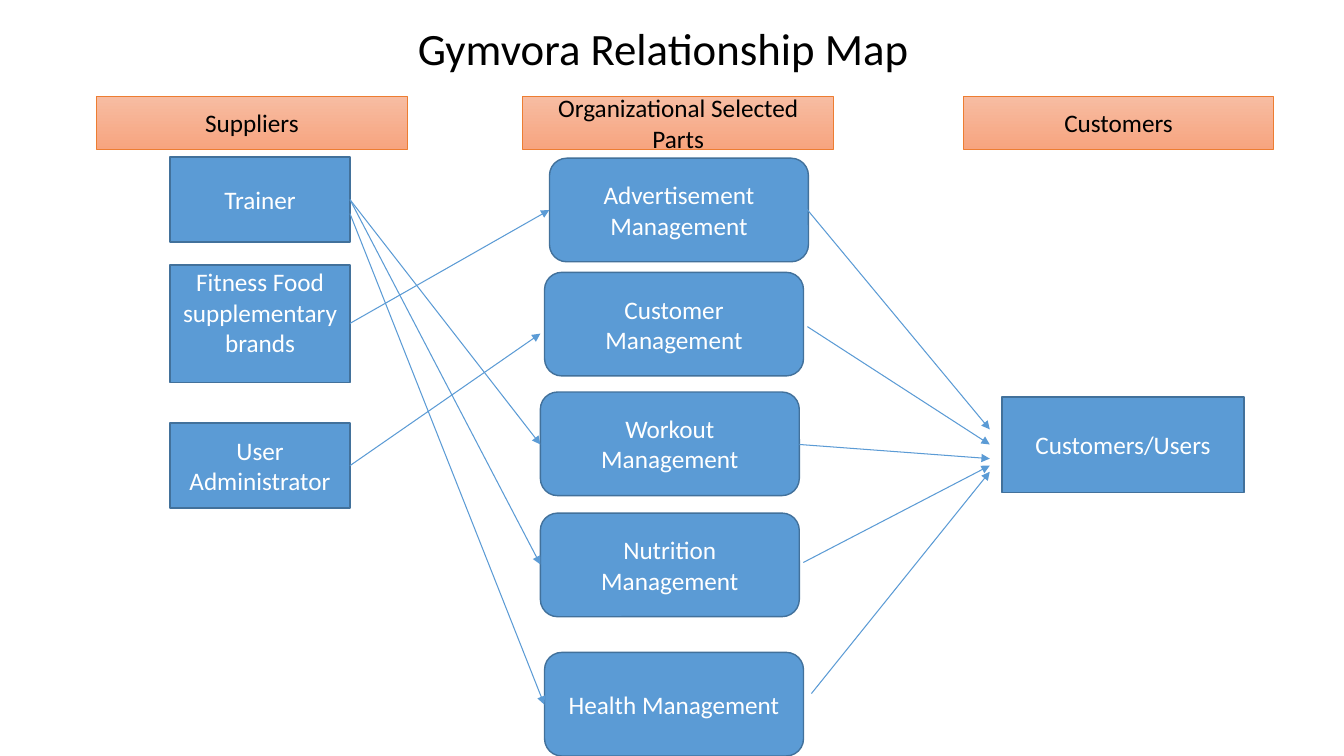
import pptx
import pptx.util
import pptx.dml.color
import pptx.enum.shapes
import pptx.enum.text
import pptx.oxml
import pptx.oxml.ns

Pt = pptx.util.Pt
SHAPE = pptx.enum.shapes.MSO_SHAPE
ANCHOR = pptx.enum.text.MSO_ANCHOR
CENTER = pptx.enum.text.PP_ALIGN.CENTER

COLORS = {
    "black": "000000",
    "white": "FFFFFF",
    "blue": "5B9BD5",
    "blue_edge": "42719B",
    "orange_edge": "ED7D31",
    "orange_top": "F7BCA2",
    "orange_bottom": "F7A47F",
}


def rgb(name):
    return pptx.dml.color.RGBColor.from_string(COLORS[name])


def set_text(sp, text, size, color, anchor):
    tf = sp.text_frame
    tf.word_wrap = True
    tf.vertical_anchor = anchor
    p = tf.paragraphs[0]
    p.text = text
    p.alignment = CENTER
    p.font.name = "Calibri"
    p.font.size = Pt(size)
    p.font.color.rgb = rgb(color)
    return p


def add_box(s, kind, box, text, color, edge, edge_width):
    """Add an outlined shape with centred text; its fill is left to the caller."""
    sp = s.shapes.add_shape(kind, *map(Pt, box))
    sp.shadow.inherit = False
    sp.line.color.rgb = rgb(edge)
    sp.line.width = Pt(edge_width)
    set_text(sp, text, 18, color, ANCHOR.MIDDLE)
    return sp


def add_blue_box(s, kind, box, text):
    sp = add_box(s, kind, box, text, "white", "blue_edge", 1)
    sp.fill.solid()
    sp.fill.fore_color.rgb = rgb("blue")
    return sp


def add_title(s, box, text):
    sp = s.shapes.add_textbox(*map(Pt, box))
    p = set_text(sp, text, 32, "black", ANCHOR.BOTTOM)
    p.line_spacing = 0.9


def add_header(s, box, text):
    sp = add_box(s, SHAPE.RECTANGLE, box, text, "black", "orange_edge", 0.75)
    sp.fill.gradient()
    sp.fill.gradient_angle = 270
    for stop, name in zip(sp.fill.gradient_stops, ("orange_top", "orange_bottom")):
        stop.color.rgb = rgb(name)


def add_suppliers(s, left, top, width):
    rows = [
        ("Trainer", 0, 60.5, 3.6),
        ("Fitness Food supplementary brands", 77, 84.2, 20.6),
        ("User Administrator", 190, 60.5, 3.6),
    ]
    for text, dy, height, bottom_inset in rows:
        sp = add_blue_box(s, SHAPE.RECTANGLE, (left, top + dy, width, height), text)
        sp.text_frame.margin_bottom = Pt(bottom_inset)


def add_parts(s, left, top, width, height):
    rows = [
        ("Advertisement Management", 6.5, 0),
        ("Customer Management", 3, 81.5),
        ("Workout Management", 0, 167),
        ("Nutrition Management", 0, 253.5),
        ("Health Management", 3, 353),
    ]
    for text, dx, dy in rows:
        box = (left + dx, top + dy, width, height)
        add_blue_box(s, SHAPE.ROUNDED_RECTANGLE, box, text)


def add_arrow(s, x1, y1, x2, y2):
    cn = s.shapes.add_connector(
        pptx.enum.shapes.MSO_CONNECTOR.STRAIGHT, *map(Pt, (x1, y1, x2, y2)))
    cn.line.color.rgb = rgb("blue")
    cn.line.width = Pt(0.75)
    ln = cn.line._get_or_add_ln()
    ln.append(pptx.oxml.parse_xml(
        '<a:tailEnd %s type="triangle"/>' % pptx.oxml.ns.nsdecls("a")))
    ln.addnext(pptx.oxml.parse_xml('<a:effectLst %s/>' % pptx.oxml.ns.nsdecls("a")))


def add_supplier_arrows(s, left):
    links = [
        (231, 392.4, 150),
        (332.6, 386, 238.3),
        (142.6, 386, 403.2),
        (142.6, 386, 317.5),
        (152.6, 388.8, 503.3),
    ]
    for y1, x2, y2 in links:
        add_arrow(s, left, y1, x2, y2)


def add_customer_arrows(s, right):
    links = [
        (576, 149, 306.7),
        (576.7, 233.3, 317.5),
        (571, 317.5, 327.6),
        (573.8, 401.8, 332.6),
        (579.6, 495.4, 337),
    ]
    for x1, y1, y2 in links:
        add_arrow(s, x1, y1, right, y2)


def main():
    prs = pptx.Presentation()
    prs.slide_width, prs.slide_height = Pt(960), Pt(540)
    s = prs.slides.add_slide(prs.slide_layouts[6])

    add_title(s, (131, -32.4, 685.5, 90), "Gymvora Relationship Map")
    headers = [("Suppliers", 69), ("Organizational Selected Parts", 373.5),
               ("Customers", 688)]
    for text, left in headers:
        add_header(s, (left, 69, 222, 37.5), text)
    add_suppliers(s, 121.5, 112.3, 128.5)
    add_parts(s, 386, 113, 185, 74)
    add_blue_box(s, SHAPE.RECTANGLE, (715.7, 283.5, 173, 68.4), "Customers/Users")
    add_supplier_arrows(s, 250)
    add_customer_arrows(s, 707)
    prs.save("out.pptx")


if __name__ == "__main__":
    main()
